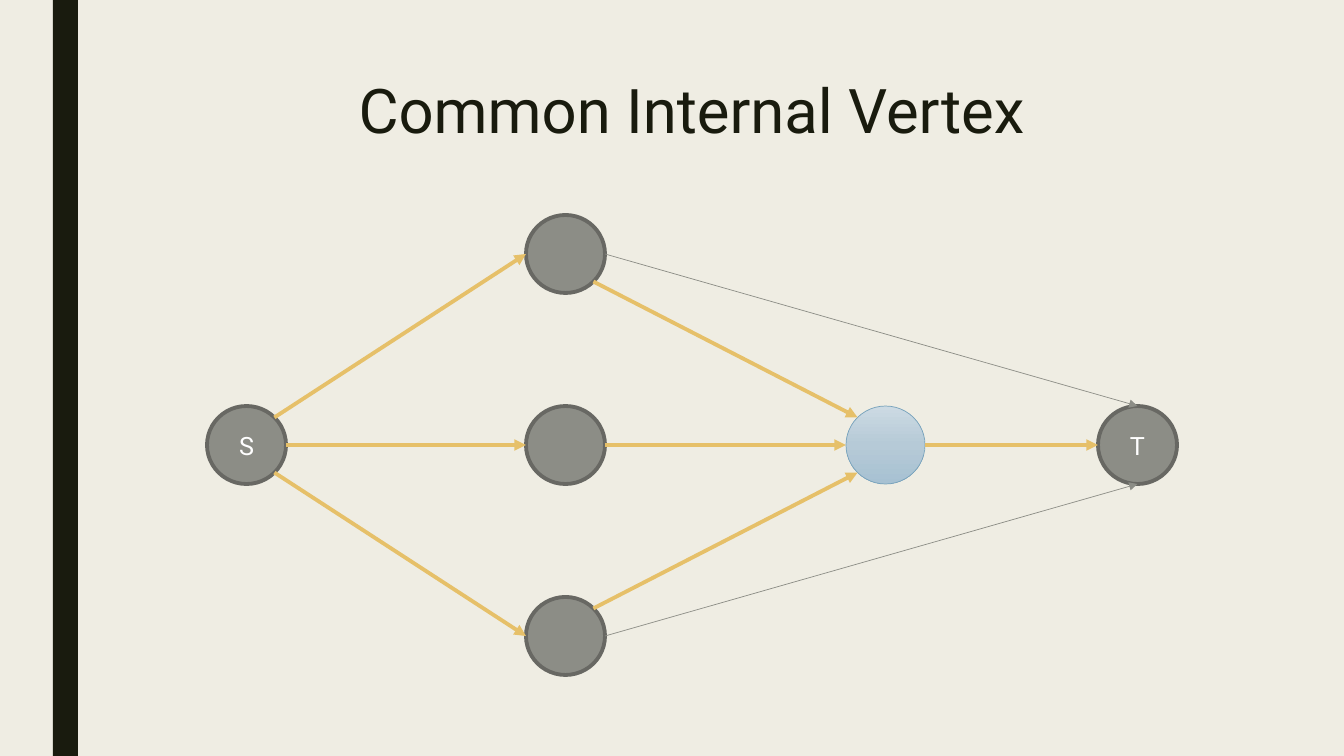
import copy
import math

from pptx import Presentation
from pptx import util as u
from pptx.dml import color
from pptx.enum import shapes, text
from pptx.oxml import ns, xmlchemy

SCALE = 914400 / 100.8
INK, GREY, EDGE, GOLD = "191B0E", "8C8D86", "686863", "E6C069"
NODE_WIDTH, NODE_HEIGHT = 79, 78


def px(length):
    """Turn pixels into EMU."""
    return u.Emu(round(length * SCALE))


def rgb(value):
    """Turn a hex string into a colour."""
    return color.RGBColor.from_string(value)


def assign(target, values):
    """Set the attributes of an object from a dict."""
    for name, value in values.items():
        setattr(target, name, value)


class Deck:
    """Holds the style and the current slide."""

    font = "Roboto"

    def __init__(self, background):
        """Start a presentation with one title-only slide."""
        self.presentation = Presentation()
        assign(self.presentation, {"slide_width": px(1344), "slide_height": px(756)})
        self.slide = self.presentation.slides.add_slide(self.presentation.slide_layouts[5])
        self.slide.background.fill.solid()
        self.slide.background.fill.fore_color.rgb = rgb(background)

    def label(self, shape, words, size, ink, anchor, spacing=1.0):
        """Put one centred paragraph into a shape."""
        frame = shape.text_frame
        assign(frame, {"word_wrap": True, "auto_size": text.MSO_AUTO_SIZE.NONE,
                       "vertical_anchor": anchor})
        paragraph = frame.paragraphs[0]
        assign(paragraph, {"alignment": text.PP_ALIGN.CENTER, "line_spacing": spacing})
        run = paragraph.add_run()
        run.text = words
        assign(run.font, {"name": self.font, "size": u.Pt(size)})
        run.font.color.rgb = rgb(ink)

    def title(self, words, left, top, width, height):
        """Place and fill the title placeholder."""
        shape = self.slide.shapes.title
        assign(shape, {"left": px(left), "top": px(top),
                       "width": px(width), "height": px(height)})
        self.label(shape, words, 44, INK, text.MSO_ANCHOR.TOP, 0.89)

    def shape(self, kind, left, top, width, height, fill, line=None, weight=2.75):
        """Add a preset shape with a solid fill, outlined if a line colour is given."""
        shape = self.slide.shapes.add_shape(kind, px(left), px(top), px(width), px(height))
        shape.shadow.inherit = False
        shape.fill.solid()
        shape.fill.fore_color.rgb = rgb(fill)
        if line:
            shape.line.color.rgb = rgb(line)
            shape.line.width = u.Pt(weight)
        else:
            shape.line.fill.background()
        return shape

    def vertex(self, left, top, name="", fill=GREY, line=EDGE, weight=2.75):
        """Add a graph vertex."""
        shape = self.shape(shapes.MSO_SHAPE.OVAL, left, top, NODE_WIDTH, NODE_HEIGHT,
                           fill, line, weight)
        if name:
            self.label(shape, name, 18, "FFFFFF", text.MSO_ANCHOR.MIDDLE)
        return shape

    def gradient(self, shape, start, middle, end):
        """Fill a shape with three colours from top to bottom."""
        shape.fill.gradient()
        shape.fill.gradient_angle = 270
        stop_list = shape._element.spPr.find(".//" + ns.qn("a:gsLst"))
        stop_list.insert(1, copy.deepcopy(stop_list[0]))
        for stop, position, value in zip(shape.fill.gradient_stops, (0, 0.5, 1),
                                         (start, middle, end)):
            stop.position = position
            stop.color.rgb = rgb(value)

    def arrow(self, start, end, line=GOLD, weight=2.75):
        """Add a straight arrow between two points."""
        connector = self.slide.shapes.add_connector(
            shapes.MSO_CONNECTOR.STRAIGHT, *map(px, start + end))
        connector.line.color.rgb = rgb(line)
        connector.line.width = u.Pt(weight)
        properties = connector._element.spPr
        head = xmlchemy.OxmlElement("a:tailEnd")
        head.set("type", "triangle")
        properties.find(ns.qn("a:ln")).append(head)
        properties.append(xmlchemy.OxmlElement("a:effectLst"))


def rim(corner, degrees):
    """Return the point on a vertex's rim, clockwise from its right side."""
    angle = math.radians(degrees)
    return (corner[0] + NODE_WIDTH / 2 * (1 + math.cos(angle)),
            corner[1] + NODE_HEIGHT / 2 * (1 + math.sin(angle)))


RIGHT, LOWER_RIGHT, BOTTOM, LOWER_LEFT, LEFT, UPPER_LEFT, TOP, UPPER_RIGHT = range(0, 360, 45)
UPPER_ROW, MIDDLE_ROW, LOWER_ROW = (215 + 191 * row for row in range(3))
source, shared, sink = ((left, MIDDLE_ROW) for left in (207, 846, 1098))
upper, middle, lower = ((526, top) for top in (UPPER_ROW, MIDDLE_ROW, LOWER_ROW))

deck = Deck("EFEDE3")
deck.shape(shapes.MSO_SHAPE.RECTANGLE, 53, 0, 25, 756, INK)
deck.title("Common Internal Vertex", 207, 76, 970, 92)

deck.vertex(*source, name="S")
for corner in (lower, middle, upper):
    deck.vertex(*corner)
shared_vertex = deck.vertex(*shared, line="77A2BB", weight=0.5)
deck.gradient(shared_vertex, "CCDAE3", "B6CAD7", "A7C1D2")
deck.vertex(*sink, name="T")

for corner, sink_side in ((upper, TOP), (lower, BOTTOM)):
    deck.arrow(rim(corner, RIGHT), rim(sink, sink_side), GREY, 0.5)
for start, leaving, end, entering in (
        (source, UPPER_RIGHT, upper, LEFT),
        (source, LOWER_RIGHT, lower, LEFT),
        (source, RIGHT, middle, LEFT),
        (middle, RIGHT, shared, LEFT),
        (shared, RIGHT, sink, LEFT),
        (lower, UPPER_RIGHT, shared, LOWER_LEFT),
        (upper, LOWER_RIGHT, shared, UPPER_LEFT)):
    deck.arrow(rim(start, leaving), rim(end, entering))

deck.presentation.save("out.pptx")
